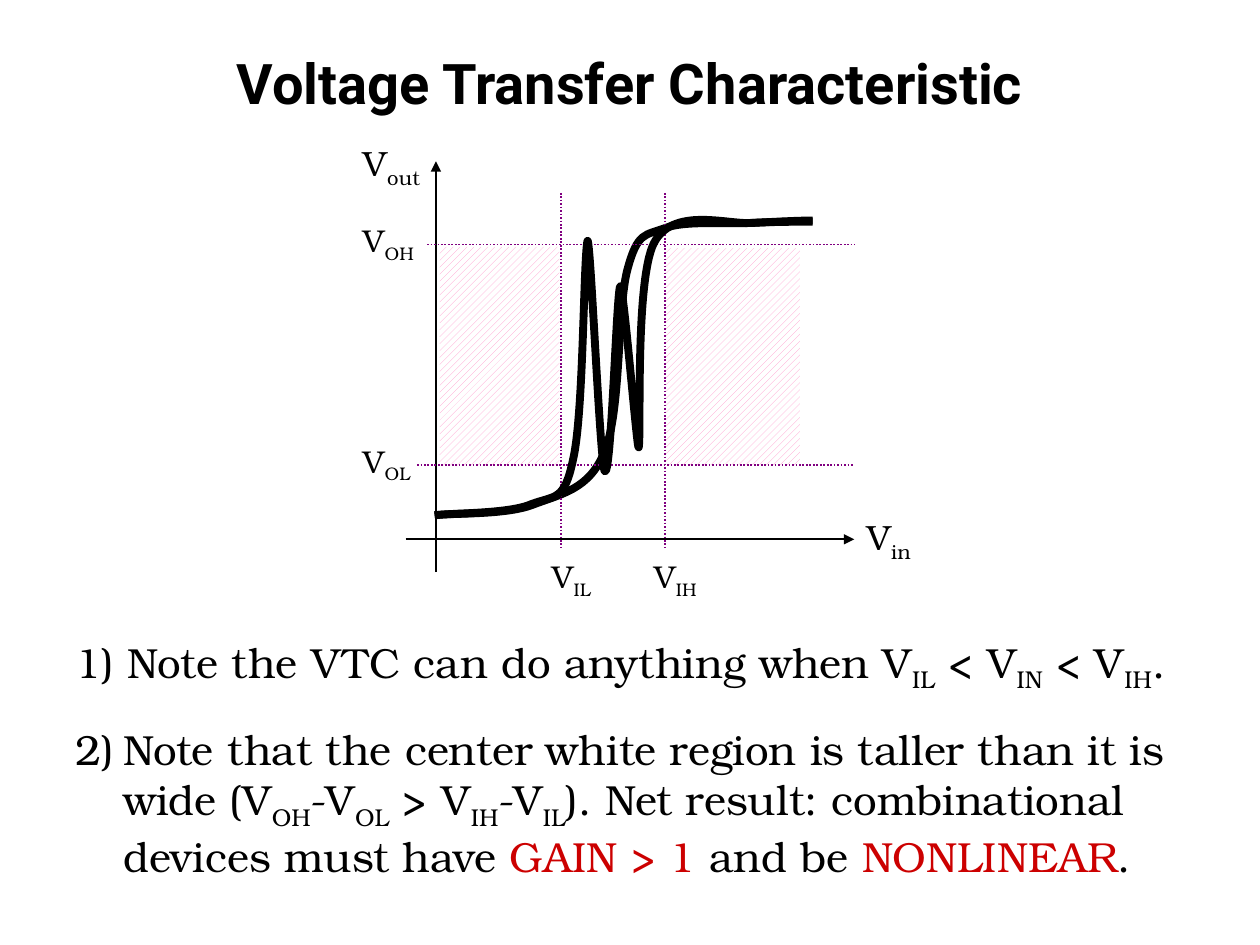
from lxml import etree
from pptx import Presentation
from pptx import util as u
from pptx.dml import color as col
from pptx.enum import dml, shapes, text
from pptx.oxml import ns

COLORS = {"ink": "000000", "paper": "FFFFFF", "hatch": "FF99CC",
          "guide": "800080", "accent": "CC0000"}
SERIF = "TeX Gyre Bonum"
MAIN = [(0, 2.34), (0.13, 2.32), (0.55, 2.34), (0.77, 2.26),
        (1, 2.17), (1.23, 2.14), (1.35, 1.83),
        (1.48, 1.52), (1.45, 0.68), (1.53, 0.39),
        (1.61, 0.09), (1.67, 0.12), (1.83, 0.06),
        (1.99, 0), (2.31, 0.03), (2.51, 0.02),
        (2.7, 0.01), (2.89, 0.01), (3, 0.01)]
WILD = [(0, 2.34), (0.13, 2.32), (0.59, 2.33), (0.77, 2.25),
        (0.96, 2.18), (1.03, 2.23), (1.1, 1.89),
        (1.18, 1.54), (1.18, 0.41), (1.21, 0.18),
        (1.23, -0.05), (1.31, 1.93), (1.35, 1.99),
        (1.4, 2.05), (1.44, 0.67), (1.47, 0.53),
        (1.49, 0.39), (1.61, 1.88), (1.62, 1.8),
        (1.64, 1.71), (1.59, 0.48), (1.74, 0.18),
        (1.89, -0.11), (2.31, 0.03), (2.51, 0.02),
        (2.7, 0.01), (2.89, 0), (3, 0)]


def rgb(name):
    return col.RGBColor.from_string(COLORS[name])


def apply(item, values):
    for key, value in values.items():
        setattr(item, key, value)


def node(parent, tag, **attrs):
    return etree.SubElement(parent, ns.qn(tag), attrs)


def write(slide, box, words, size, font=SERIF, bold=False, wrap=True,
          anchor=text.MSO_ANCHOR.TOP, fit=text.MSO_AUTO_SIZE.SHAPE_TO_FIT_TEXT,
          para=None, hang=0):
    shape = slide.shapes.add_textbox(*map(u.Inches, box))
    frame = shape.text_frame
    apply(frame, {"word_wrap": wrap, "auto_size": fit,
                  "vertical_anchor": anchor})
    line = frame.paragraphs[0]
    apply(line, para or {})
    if hang:
        props = line._p.get_or_add_pPr()
        props.set("marL", str(u.Inches(hang)))
        props.set("indent", str(u.Inches(-hang)))
    for i, part in enumerate(words.split("*")):
        for j, piece in enumerate(part.split("~")):
            if not piece:
                continue
            run = line.add_run()
            run.text = piece
            apply(run.font, {"name": font, "size": u.Pt(size), "bold": bold})
            run.font.color.rgb = rgb("accent" if i % 2 else "ink")
            if j % 2:
                run.font._element.set("baseline", "-25000")


def rule(slide, box, start, end, color="ink", dash=None, arrow=False):
    x, y = box[:2]
    ends = (x + start[0], y + start[1], x + end[0], y + end[1])
    line = slide.shapes.add_connector(shapes.MSO_CONNECTOR.STRAIGHT,
                                      *map(u.Inches, ends))
    line.line.color.rgb = rgb(color)
    apply(line.line, {"width": u.Pt(1), "dash_style": dash})
    if arrow:
        node(line.line._ln, "a:tailEnd", type="triangle")
    node(line._element.spPr, "a:effectLst")


def curve(slide, box, points):
    x, y = box[:2]
    spots = [(u.Inches(x + a), u.Inches(y + b)) for a, b in points]
    build = slide.shapes.build_freeform(*spots[0])
    build.add_line_segments(spots[1:], close=False)
    shape = build.convert_to_shape()
    shape.shadow.inherit = False
    shape.fill.background()
    shape.line.color.rgb = rgb("ink")
    shape.line.width = u.Pt(4.5)
    track = shape._element.spPr.find(".//" + ns.qn("a:path"))
    steps = track.findall(ns.qn("a:lnTo"))
    for i in range(0, len(steps), 3):
        bend = node(track, "a:cubicBezTo")
        for step in steps[i:i + 3]:
            bend.append(step[0])
            track.remove(step)


def zone(slide, box, edge):
    shape = slide.shapes.add_shape(shapes.MSO_SHAPE.RECTANGLE,
                                   *map(u.Inches, box))
    shape.shadow.inherit = False
    shape.fill.patterned()
    shape.fill.pattern = dml.MSO_PATTERN.WIDE_UPWARD_DIAGONAL
    shape.fill.fore_color.rgb = rgb("hatch")
    shape.fill.back_color.rgb = rgb("paper")
    if edge:
        shape.line.color.rgb = rgb("paper")
        shape.line.width = u.Pt(1)
    else:
        shape.line.fill.background()


def plot(slide, box):
    x, y, wide, high = box
    area = (x + 0.67, y + 0.67, 3, 2.34)
    curve(slide, area, MAIN)
    for left, width, edge in ((2.5, 1.08, True), (0.71, 0.95, False)):
        zone(slide, (x + left, y + 0.88, width, 1.74), edge)
    rule(slide, box, (0.68, 3.46), (0.68, 0.2), arrow=True)
    rule(slide, box, (0.44, 3.2), (4, 3.2), arrow=True)
    labels = [("out", 0, 0, 0.7, 20), ("in", 4, 2.97, 0.58, 20),
              ("OL", 0, 2.38, 0.63, 18), ("OH", 0, 0.63, 0.66, 18),
              ("IL", 1.5, 3.3, 0.55, 18), ("IH", 2.31, 3.3, 0.58, 18)]
    for name, left, top, width, size in labels:
        write(slide, (x + left, y + top, width, 0.41 if size == 20 else 0.37),
              f"V~{name}~", size, wrap=False, para={"line_spacing": 0.9})
    guides = [((0.53, 2.61), (4, 2.61)), ((0.61, 0.86), (4, 0.86)),
              ((1.67, 0.45), (1.67, 3.27)), ((2.5, 0.45), (2.5, 3.27))]
    for start, end in guides:
        rule(slide, box, start, end, "guide", dml.MSO_LINE.ROUND_DOT)
    curve(slide, area, WILD)


def title(slide, box):
    write(slide, box, "Voltage Transfer Characteristic", 32, "Roboto", True,
          anchor=text.MSO_ANCHOR.MIDDLE, fit=text.MSO_AUTO_SIZE.NONE,
          para={"alignment": text.PP_ALIGN.CENTER})


def notes(slide, box):
    x, y, wide, high = box
    write(slide, (x, y, 9, 0.51),
          "1) Note the VTC can do anything when V~IL~ < V~IN~ < V~IH~.", 24)
    write(slide, (x, y + 0.69, wide, high - 0.69),
          "2)\tNote that the center white region is taller than it is wide "
          "(V~OH~-V~OL~ > V~IH~-V~IL~). Net result: combinational devices "
          "must have *GAIN > 1* and be *NONLINEAR*.", 24, hang=0.38)


def main():
    deck = Presentation()
    apply(deck, {"slide_width": u.Inches(10), "slide_height": u.Inches(7.5)})
    slide = deck.slides.add_slide(deck.slide_layouts[6])
    title(slide, (0.5, 0.3, 9, 0.7))
    plot(slide, (2.78, 1.08, 4.58, 3.67))
    notes(slide, (0.5, 5, 9.08, 2))
    deck.save("out.pptx")


if __name__ == "__main__":
    main()
